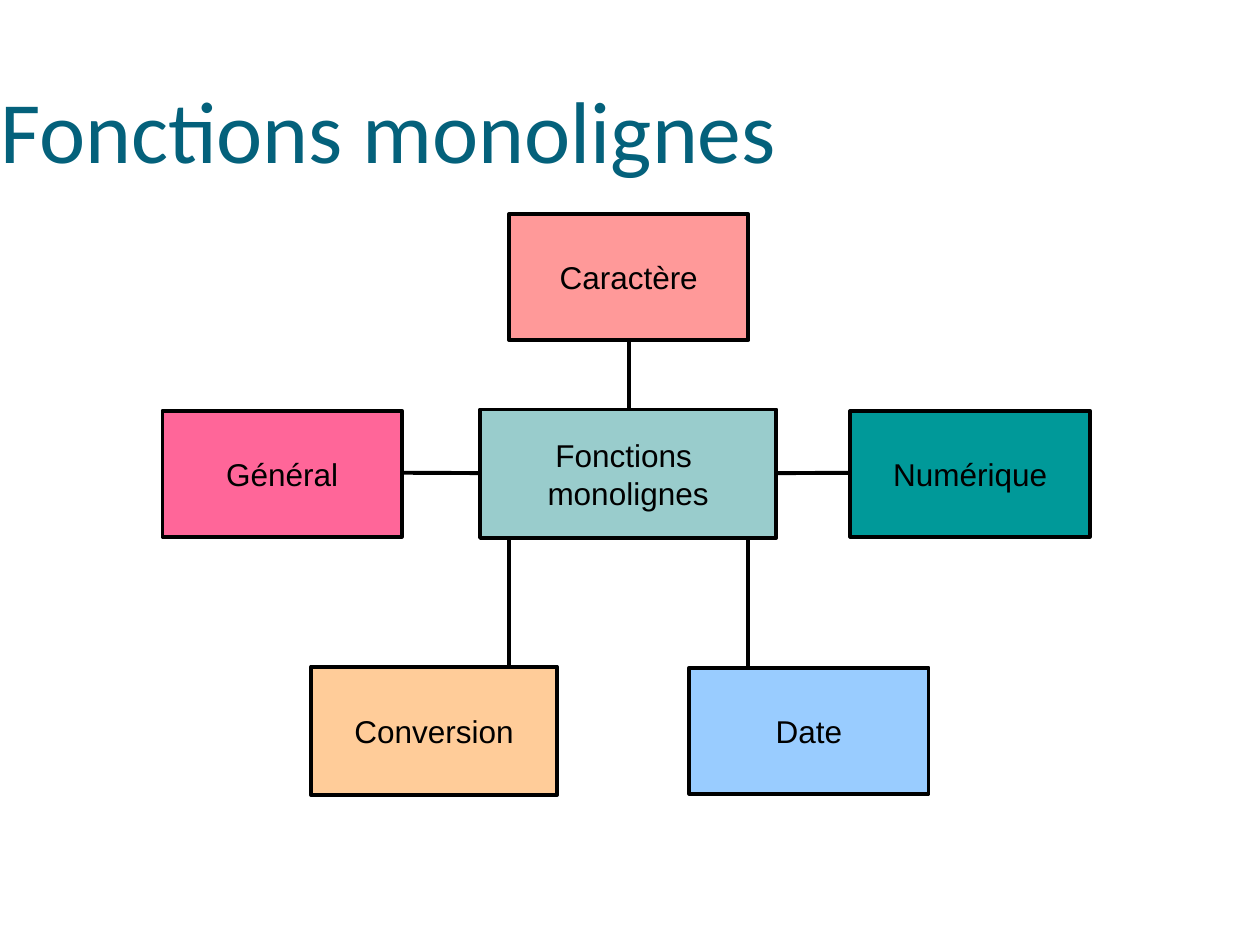
from lxml import etree
from pptx import Presentation
from pptx.dml.color import RGBColor
from pptx.enum import shapes, text
from pptx.oxml.ns import qn
from pptx.util import Inches, Pt

BLACK = RGBColor(0, 0, 0)
TEAL = RGBColor(0x04, 0x61, 0x7B)
PEACH = RGBColor(0xFF, 0xCC, 0x99)
CORAL = RGBColor(0xFF, 0x99, 0x99)
GREEN = RGBColor(0x00, 0x99, 0x99)
BLUE = RGBColor(0x99, 0xCC, 0xFF)
PINK = RGBColor(0xFF, 0x66, 0x99)
MIST = RGBColor(0x99, 0xCC, 0xCC)

# Start and end of each link, in inches
LINKS = [
    (4.04, 4.16, 4.04, 5.31),
    (5.94, 4.17, 5.94, 5.32),
    (4.99, 4.02, 4.99, 2.47),
    (4.98, 3.76, 2.76, 3.75),
    (4.99, 3.76, 7.34, 3.75),
]

SIZE = (1.9, 1)
# Label, fill, left and top, size
BOXES = [
    ("Conversion", PEACH, (2.47, 5.29), (1.95, 1.02)),
    ("Caractère", CORAL, (4.04, 1.7), SIZE),
    ("Numérique", GREEN, (6.75, 3.26), SIZE),
    ("Date", BLUE, (5.47, 5.3), SIZE),
    ("Général", PINK, (1.29, 3.26), SIZE),
    ("Fonctions \nmonolignes", MIST, (3.81, 3.25), (2.35, 1.02)),
]


def assign(item, values):
    for name, value in values.items():
        setattr(item, name, value)


def style_font(font, name, size, color):
    assign(font, {"name": name, "size": Pt(size), "bold": False})
    font.color.rgb = color


def style_line(line):
    line.color.rgb = BLACK
    line.width = Pt(2.25)


def add_title(slide, label):
    title = slide.shapes.title
    assign(title, {"left": 0, "top": Inches(0.48),
                   "width": Inches(8.66), "height": Inches(0.96)})
    frame = title.text_frame
    frame.text = label
    assign(frame, {
        "margin_left": 0, "margin_right": 0, "margin_bottom": 0,
        "margin_top": Inches(0.05), "word_wrap": True,
        "auto_size": text.MSO_AUTO_SIZE.NONE,
        "vertical_anchor": text.MSO_ANCHOR.BOTTOM,
    })
    para = frame.paragraphs[0]
    para.alignment = text.PP_ALIGN.LEFT
    style_font(para.runs[0].font, "Calibri", 50, TEAL)


def add_link(slide, ends):
    link = slide.shapes.add_connector(
        shapes.MSO_CONNECTOR.STRAIGHT, *map(Inches, ends))
    style_line(link.line)
    etree.SubElement(link.element.spPr, qn("a:effectLst"))


def add_box(slide, label, fill, place, size):
    box = slide.shapes.add_shape(
        shapes.MSO_SHAPE.RECTANGLE, *map(Inches, place + size))
    box.shadow.inherit = False
    box.fill.solid()
    box.fill.fore_color.rgb = fill
    style_line(box.line)
    frame = box.text_frame
    frame.text = label
    assign(frame, {"word_wrap": False,
                   "vertical_anchor": text.MSO_ANCHOR.MIDDLE})
    for para in frame.paragraphs:
        para.alignment = text.PP_ALIGN.CENTER
        style_font(para.runs[0].font, "Arial", 18, BLACK)


def main():
    deck = Presentation()
    assign(deck, {"slide_width": Inches(10), "slide_height": Inches(7.5)})
    slide = deck.slides.add_slide(deck.slide_layouts[5])
    add_title(slide, "Fonctions monolignes")
    for ends in LINKS:
        add_link(slide, ends)
    for box in BOXES:
        add_box(slide, *box)
    deck.save("out.pptx")


if __name__ == "__main__":
    main()
